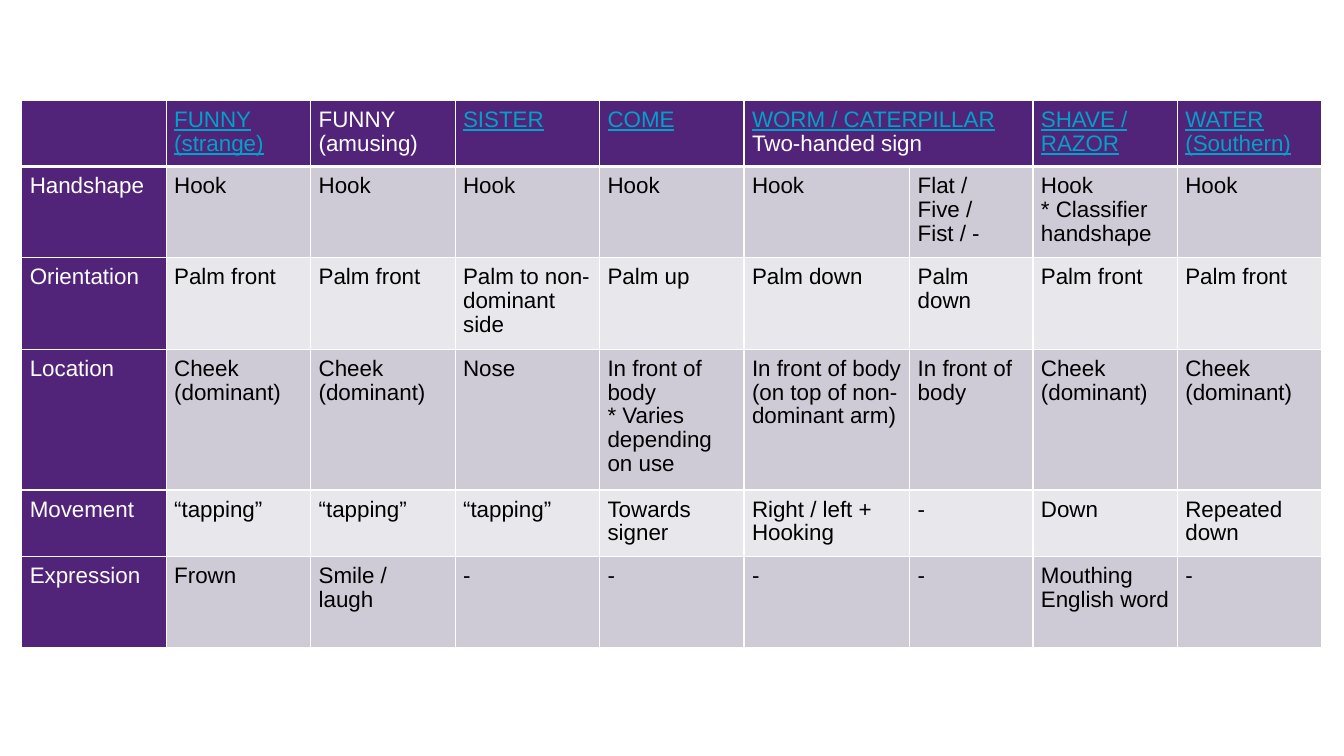
from copy import deepcopy
from dataclasses import dataclass

from lxml import etree
from pptx import Presentation
from pptx import util as u
from pptx.dml.color import RGBColor
from pptx.oxml.ns import qn


@dataclass(frozen=True)
class Theme:
    font: str = "Arial"
    size: float = 16
    line_spacing: float = 0.96
    inset: float = 5.67
    purple: str = "51247A"
    link: str = "00A2C7"
    white: str = "FFFFFF"
    black: str = "000000"
    bands: tuple[str, str] = ("CFCBD6", "E8E7EC")
    border: float = 1
    header_border: float = 3


@dataclass(frozen=True)
class Sign:
    """One sign heading; linked headings are coloured and underlined."""
    name: str
    linked: bool = True
    note: str = ""
    span: int = 1


@dataclass(frozen=True)
class Feature:
    """One row of the table: a label and its value for each sign."""
    label: str
    height: float
    values: tuple[str, ...]


THEME = Theme()
LEFT, TOP = 15.6, 71.8
HEADER_HEIGHT = 47.2
COLUMN_WIDTHS = [103.2] * 5 + [118.4, 88] + [103.2] * 2

SIGNS = [
    Sign("FUNNY (strange)"),
    Sign("FUNNY (amusing)", linked=False),
    Sign("SISTER"),
    Sign("COME"),
    Sign("WORM / CATERPILLAR", note="Two-handed sign", span=2),
    Sign("SHAVE / RAZOR"),
    Sign("WATER (Southern)"),
]

# "\n" starts a paragraph, "\v" breaks a line inside one
FEATURES = [
    Feature("Handshape", 65.2, (
        "Hook", "Hook", "Hook", "Hook", "Hook", "Flat /\vFive /\vFist / -",
        "Hook\n* Classifier handshape", "Hook")),
    Feature("Orientation", 65.2, (
        "Palm front", "Palm front", "Palm to non-\vdominant side", "Palm up",
        "Palm down", "Palm down", "Palm front", "Palm front")),
    Feature("Location", 100.6, (
        "Cheek (dominant)", "Cheek (dominant)", "Nose",
        "In front of body\n* Varies depending on use",
        "In front of body\n(on top of non-\vdominant arm)",
        "In front of body", "Cheek (dominant)", "Cheek (dominant)")),
    Feature("Movement", 47.6, (
        "“tapping”", "“tapping”", "“tapping”", "Towards signer",
        "Right / left + Hooking", "-", "Down", "Repeated down")),
    Feature("Expression", 65, (
        "Frown", "Smile / laugh", "-", "-", "-", "-",
        "Mouthing English word", "-")),
]


def write_paragraph(paragraph, content: str, *, color: str,
                    underline: bool = False) -> None:
    paragraph.text = content
    paragraph.line_spacing = THEME.line_spacing
    for run in paragraph.runs:
        run.font.name = THEME.font
        run.font.size = u.Pt(THEME.size)
        run.font.bold = False
        run.font.underline = underline
        run.font.color.rgb = RGBColor.from_string(color)
    # Line breaks take the format of the text around them
    for line_break in paragraph._p.findall(qn("a:br")):
        line_break.insert(0, deepcopy(paragraph.runs[0]._r.rPr))


def write_cell(cell, content: str, *, color: str, underline: bool = False) -> None:
    for index, line in enumerate(content.split("\n")):
        frame = cell.text_frame
        paragraph = frame.add_paragraph() if index else frame.paragraphs[0]
        write_paragraph(paragraph, line, color=color, underline=underline)


def style_cell(cell, fill: str, *, top: float, bottom: float) -> None:
    cell.margin_left = cell.margin_right = u.Pt(THEME.inset)
    cell.margin_top = cell.margin_bottom = u.Pt(THEME.inset)
    widths = {"lnL": THEME.border, "lnR": THEME.border, "lnT": top, "lnB": bottom}
    properties = cell._tc.get_or_add_tcPr()
    for side, width in widths.items():
        line = etree.SubElement(properties, qn(f"a:{side}"), w=str(u.Pt(width)))
        solid = etree.SubElement(line, qn("a:solidFill"))
        etree.SubElement(solid, qn("a:srgbClr"), val=THEME.white)
    cell.fill.solid()
    cell.fill.fore_color.rgb = RGBColor.from_string(fill)


def fill_header(table) -> None:
    column = 1
    for sign in SIGNS:
        cell = table.cell(0, column)
        if sign.span > 1:
            cell.merge(table.cell(0, column + sign.span - 1))
        write_cell(cell, sign.name, underline=sign.linked,
                   color=THEME.link if sign.linked else THEME.white)
        if sign.note:
            write_paragraph(cell.text_frame.add_paragraph(), sign.note,
                            color=THEME.white)
        column += sign.span


def fill_features(table) -> None:
    for row, feature in enumerate(FEATURES, start=1):
        write_cell(table.cell(row, 0), feature.label, color=THEME.white)
        for column, value in enumerate(feature.values, start=1):
            write_cell(table.cell(row, column), value, color=THEME.black)


def add_sign_table(slide) -> None:
    heights = [HEADER_HEIGHT] + [feature.height for feature in FEATURES]
    table = slide.shapes.add_table(
        len(heights), len(COLUMN_WIDTHS), u.Pt(LEFT), u.Pt(TOP),
        u.Pt(sum(COLUMN_WIDTHS)), u.Pt(sum(heights))).table
    for column, width in zip(table.columns, COLUMN_WIDTHS):
        column.width = u.Pt(width)

    # Purple header row and label column, banded body
    for row, height in enumerate(heights):
        table.rows[row].height = u.Pt(height)
        for column in range(len(COLUMN_WIDTHS)):
            is_heading = row == 0 or column == 0
            style_cell(
                table.cell(row, column),
                THEME.purple if is_heading else THEME.bands[(row - 1) % 2],
                top=THEME.header_border if row == 1 else THEME.border,
                bottom=THEME.header_border if row == 0 else THEME.border)
    fill_header(table)
    fill_features(table)


def main() -> None:
    presentation = Presentation()
    presentation.slide_width = u.Pt(960)
    presentation.slide_height = u.Pt(540)
    blank_layout = presentation.slide_layouts[6]
    add_sign_table(presentation.slides.add_slide(blank_layout))
    presentation.save("out.pptx")


if __name__ == "__main__":
    main()
